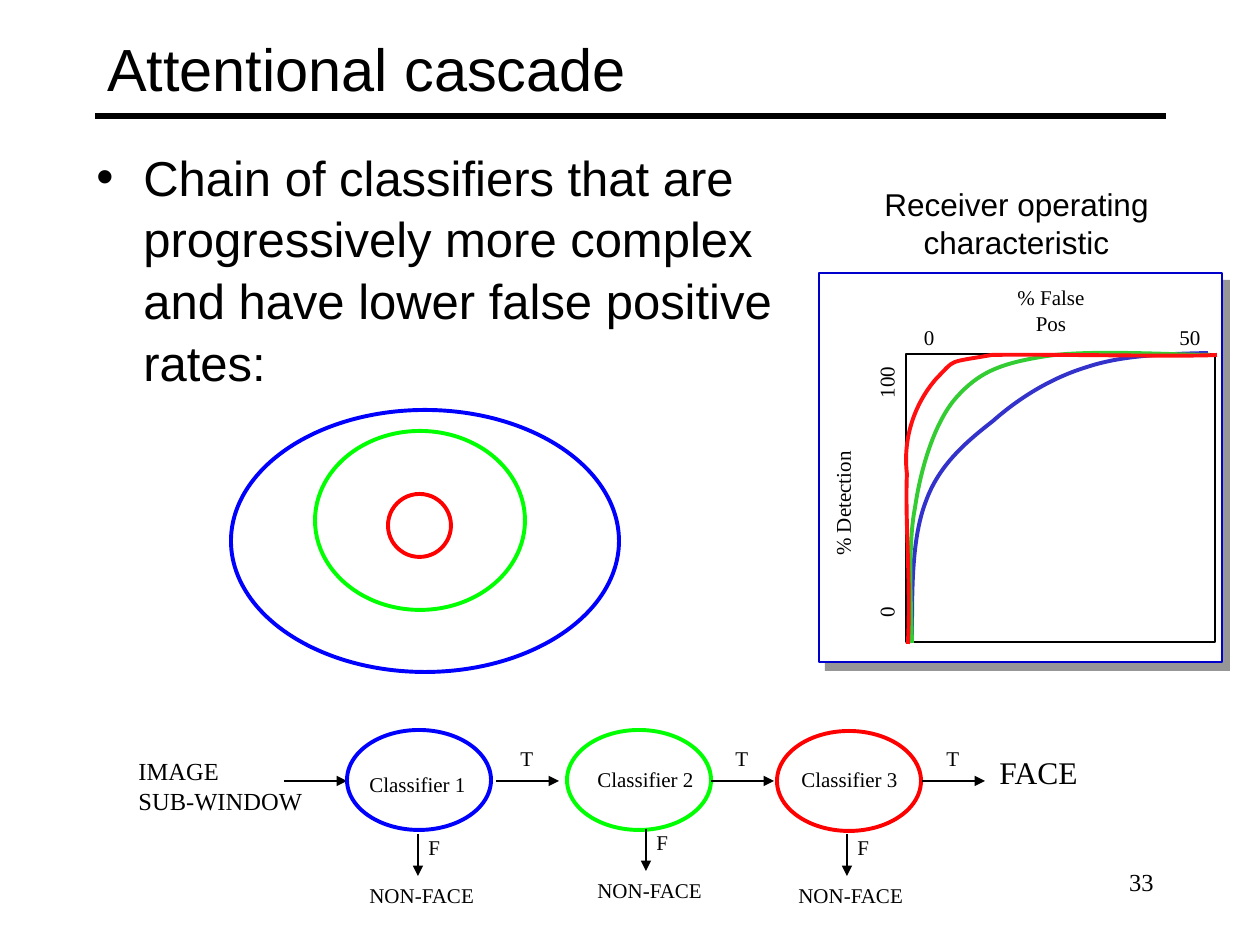
from lxml.etree import SubElement
from pptx import Presentation
from pptx.dml.color import RGBColor
from pptx.enum.shapes import MSO_CONNECTOR, MSO_SHAPE
from pptx.enum.text import MSO_ANCHOR, PP_ALIGN
from pptx.oxml.ns import qn
from pptx.util import Pt

PX = 914400 / 126
SANS, SERIF = "Arial", "Times New Roman"
BLACK, WHITE = "000000", "FFFFFF"
BLUE, GREEN, RED = "0000FF", "00FF00", "FF0000"

NESTED_REGIONS = [
    (RED, (388, 494, 63, 63)),
    (GREEN, (315, 431, 210, 179)),
    (BLUE, (231, 410, 388, 262)),
]
ROC_CURVES = [
    ("3333CC", [(912, 635), (912, 586), (912, 537), (926, 501), (939, 465), (966, 442),
                (993, 421), (1019, 398), (1051, 378), (1087, 367), (1123, 355),
                (1166, 354), (1208, 353)]),
    ("33CC33", [(912, 643), (912, 620), (907, 548), (915, 508), (921, 467), (935, 422),
                (956, 398), (978, 373), (999, 364), (1041, 357), (1084, 349),
                (1174, 355), (1210, 355)]),
    ("FF0F0F", [(908, 644), (911, 581), (905, 522), (907, 474), (902, 431), (920, 397),
                (937, 378), (956, 359), (946, 363), (992, 355), (1041, 354),
                (1184, 357), (1217, 355)]),
]
AXIS_LABELS = [
    ("% False Pos", (1006, 285, 90, 50), 0),
    ("0", (912, 325, 34, 25), 0),
    ("50", (1173, 325, 34, 25), 0),
    ("% Detection", (787, 491, 111, 25), 270),
    ("0", (869, 600, 34, 25), 270),
    ("100", (869, 370, 34, 25), 270),
]
STAGES = [
    ("Classifier 1", BLUE, (347, 730), (357, 765), (418, 834), 496),
    ("Classifier 2", GREEN, (567, 730), (585, 760), (646, 829), 711),
    ("Classifier 3", RED, (777, 731), (789, 760), (847, 834), 922),
]


def px(*lengths):
    """Turn pixel lengths into EMU."""
    return [round(length * PX) for length in lengths]


def color(hex_text):
    """Give the colour for a hex string."""
    return RGBColor.from_string(hex_text)


def add_outline(slide, kind, box, line=None, width=0.75, fill=None):
    """Add a preset shape with an optional line and fill."""
    shape = slide.shapes.add_shape(kind, *px(*box))
    shape.shadow.inherit = False
    if fill:
        shape.fill.solid()
        shape.fill.fore_color.rgb = color(fill)
    else:
        shape.fill.background()
    if line:
        shape.line.color.rgb = color(line)
        shape.line.width = Pt(width)
    else:
        shape.line.fill.background()


def add_text(slide, text, box, size, font=SERIF, align=PP_ALIGN.LEFT, inset=True, rotation=0):
    """Add a wrapped text box and return its frame."""
    label = slide.shapes.add_textbox(*px(*box))
    label.rotation = rotation
    frame = label.text_frame
    frame.word_wrap = True
    if not inset:
        frame.margin_left = frame.margin_right = frame.margin_top = frame.margin_bottom = 0
    frame.text = text
    for paragraph in frame.paragraphs:
        paragraph.alignment = align
        for run in paragraph.runs:
            run.font.size = Pt(size)
            run.font.name = font
            run.font.color.rgb = color(BLACK)
    return frame


def add_line(slide, start, end, width=0.75, arrow=True):
    """Add a straight line, with an arrowhead at its end if wanted."""
    connector = slide.shapes.add_connector(MSO_CONNECTOR.STRAIGHT, *px(*start, *end))
    connector.line.color.rgb = color(BLACK)
    connector.line.width = Pt(width)
    properties = connector._element.spPr
    if arrow:
        SubElement(properties.find(qn("a:ln")), qn("a:tailEnd"), type="triangle")
    SubElement(properties, qn("a:effectLst"))


def add_curve(slide, points, line):
    """Add an open curve whose points after the first are Bezier triples."""
    builder = slide.shapes.build_freeform(*points[0], scale=PX)
    builder.add_line_segments(points[1:], close=False)
    curve = builder.convert_to_shape()
    curve.shadow.inherit = False
    curve.fill.background()
    curve.line.color.rgb = color(line)
    curve.line.width = Pt(2.25)
    outline = next(curve._element.iter(qn("a:path")))
    segments = outline.findall(qn("a:lnTo"))
    for first in range(0, len(segments), 3):
        bezier = SubElement(outline, qn("a:cubicBezTo"))
        for segment in segments[first:first + 3]:
            bezier.append(segment[0])
            outline.remove(segment)


def add_heading(slide):
    """Add the title, its rule and the bulleted statement."""
    add_line(slide, (95, 116), (1166, 116), width=3, arrow=False)
    title = add_text(slide, "Attentional cascade", (95, 10, 1071, 116), 34, SANS)
    title.vertical_anchor = MSO_ANCHOR.MIDDLE
    statement = add_text(
        slide,
        "Chain of classifiers that are progressively more complex and have lower "
        "false positive rates:",
        (84, 138, 766, 284), 28, SANS).paragraphs[0]
    statement.line_spacing = 1.05
    properties = statement._p.get_or_add_pPr()
    properties.set("marL", str(px(47)[0]))
    properties.set("indent", str(px(-47)[0]))
    SubElement(properties, qn("a:buFont"), typeface=SANS)
    SubElement(properties, qn("a:buChar"), char="•")


def add_roc_panel(slide):
    """Add the ROC panel with its caption, axes and curves."""
    add_text(slide, "Receiver operating characteristic", (816, 179, 401, 88), 18, SANS,
             PP_ALIGN.CENTER)
    add_outline(slide, MSO_SHAPE.RECTANGLE, (825, 280, 405, 391), fill="969696")
    add_outline(slide, MSO_SHAPE.RECTANGLE, (819, 273, 403, 389), "0000CC", fill=WHITE)
    add_outline(slide, MSO_SHAPE.RECTANGLE, (906, 354, 309, 288), BLACK)
    for text, box, rotation in AXIS_LABELS:
        add_text(slide, text, box, 12, align=PP_ALIGN.CENTER, inset=False, rotation=rotation)
    for line, points in ROC_CURVES:
        add_curve(slide, points, line)


def add_stage(slide, name, line, corner, name_at, reject_at, accept_x):
    """Add one classifier with its accept and reject arrows."""
    add_outline(slide, MSO_SHAPE.OVAL, (*corner, 144, 100), line, 2.25)
    add_text(slide, name, (*name_at, 130, 38), 12)
    add_line(slide, (accept_x, 781), (accept_x + 63, 781))
    add_text(slide, "T", (accept_x + 12, 739, 39, 38), 12)
    x, y = reject_at
    add_line(slide, (x, y), (x, y + 42))
    add_text(slide, "F", (x - 2, y - 6, 38, 38), 12)
    add_text(slide, "NON-FACE", (x - 61, y + 42, 140, 38), 12)


def main():
    """Build the slide and save it."""
    deck = Presentation()
    deck.slide_width, deck.slide_height = px(1260, 945)
    slide = deck.slides.add_slide(deck.slide_layouts[6])
    add_heading(slide)
    add_roc_panel(slide)
    for line, box in NESTED_REGIONS:
        add_outline(slide, MSO_SHAPE.OVAL, box, line, 2.25)
    add_text(slide, "IMAGE\nSUB-WINDOW", (126, 750, 196, 72), 14)
    add_line(slide, (284, 781), (347, 781))
    for stage in STAGES:
        add_stage(slide, *stage)
    add_text(slide, "FACE", (987, 747, 112, 50), 18)
    add_text(slide, "33", (904, 861, 262, 63), 14, align=PP_ALIGN.RIGHT)
    deck.save("out.pptx")


if __name__ == "__main__":
    main()
